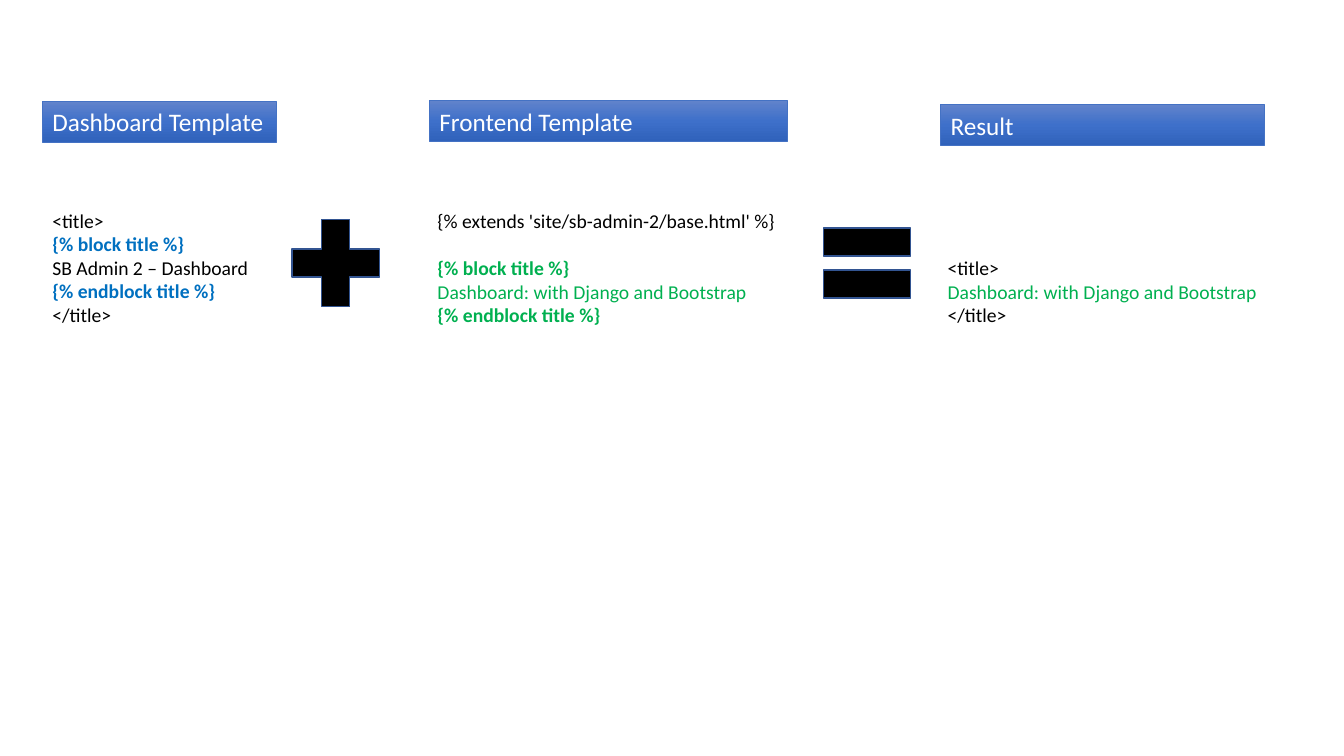
import copy

import pptx
import pptx.dml.color
import pptx.enum.shapes
import pptx.enum.text
import pptx.oxml.ns
import pptx.util

Inches = pptx.util.Inches
Pt = pptx.util.Pt
RGBColor = pptx.dml.color.RGBColor
Shape = pptx.enum.shapes.MSO_SHAPE

WHITE = RGBColor(0xFF, 0xFF, 0xFF)
BLACK = RGBColor(0x00, 0x00, 0x00)
BLUE = RGBColor(0x00, 0x70, 0xC0)
GREEN = RGBColor(0x00, 0xB0, 0x50)
HEADING_LINE = RGBColor(0x44, 0x72, 0xC4)
SIGN_LINE = RGBColor(0x32, 0x54, 0x91)
HEADING_STOPS = [
    (0, RGBColor(0x61, 0x83, 0xCB)),
    (0.5, RGBColor(0x3E, 0x70, 0xCA)),
    (1, RGBColor(0x30, 0x62, 0xBB)),
]


class SlideBuilder:
    font = "Calibri"
    heading_size = 18
    code_size = 14
    blank_line = 17

    def __init__(self, slide):
        self.slide = slide

    def shape(self, kind, left, top, width, height, line_color, line_width):
        shape = self.slide.shapes.add_shape(
            kind, Inches(left), Inches(top), Inches(width), Inches(height))
        shape.shadow.inherit = False
        shape.line.color.rgb = line_color
        shape.line.width = Pt(line_width)
        return shape

    def span(self, para, text, size, color, bold=False):
        span = para.add_run()
        span.text = text
        span.font.name = self.font
        span.font.size = Pt(size)
        span.font.color.rgb = color
        span.font.bold = bold

    def heading(self, text, left, top, width, wrap=True):
        box = self.shape(Shape.RECTANGLE, left, top, width, 0.4, HEADING_LINE, 0.5)
        box.fill.gradient()
        box.fill.gradient_angle = 270
        # The default gradient has two stops; a third is added
        stop_list = box.fill.gradient_stops[0]._gs.getparent()
        stop_list.append(copy.deepcopy(stop_list[0]))
        for stop, (position, color) in zip(box.fill.gradient_stops, HEADING_STOPS):
            stop.color.rgb = color
            stop.position = position
        frame = box.text_frame
        frame.word_wrap = wrap
        frame.auto_size = pptx.enum.text.MSO_AUTO_SIZE.SHAPE_TO_FIT_TEXT
        para = frame.paragraphs[0]
        para.alignment = pptx.enum.text.PP_ALIGN.LEFT
        self.span(para, text, self.heading_size, WHITE)

    def sign(self, kind, left, top):
        sign = self.shape(kind, left, top, 1.18, 1.18, SIGN_LINE, 1)
        sign.fill.solid()
        sign.fill.fore_color.rgb = BLACK

    def code(self, lines, left, top, width, height, gap_before=None):
        box = self.slide.shapes.add_textbox(
            Inches(left), Inches(top), Inches(width), Inches(height))
        frame = box.text_frame
        frame.word_wrap = True
        frame.auto_size = pptx.enum.text.MSO_AUTO_SIZE.SHAPE_TO_FIT_TEXT
        for index, (text, color, bold) in enumerate(lines):
            para = frame.add_paragraph() if index else frame.paragraphs[0]
            if index == gap_before:
                para.space_before = Pt(self.blank_line)
            self.span(para, text, self.code_size, color, bold)


def main():
    deck = pptx.Presentation()
    deck.slide_width = Inches(13.33)
    deck.slide_height = Inches(7.5)
    page = SlideBuilder(deck.slides.add_slide(deck.slide_layouts[6]))

    # Column headings
    page.heading("Dashboard Template", 0.42, 1.01, 2.32, wrap=False)
    page.heading("Frontend Template", 4.26, 1, 3.55)
    page.heading("Result", 9.33, 1.04, 3.21)

    # Plus and equals signs between the columns
    page.sign(Shape.MATH_PLUS, 2.74, 2.02)
    page.sign(Shape.MATH_EQUAL, 8.01, 2.02)

    # Template code
    open_title = ("<title>", BLACK, False)
    close_title = ("</title>", BLACK, False)
    new_title = ("Dashboard: with Django and Bootstrap", GREEN, False)
    page.code([
        open_title,
        ("{% block title %}", BLUE, True),
        ("SB Admin 2 – Dashboard", BLACK, False),
        ("{% endblock title %}", BLUE, True),
        close_title,
    ], 0.42, 2.02, 3.11, 1.28)
    page.code([
        ("{% extends 'site/sb-admin-2/base.html' %}", BLACK, False),
        ("{% block title %}", GREEN, True),
        new_title,
        ("{% endblock title %}", GREEN, True),
    ], 4.24, 2.02, 3.65, 1.28, gap_before=1)
    page.code([open_title, new_title, close_title], 9.3, 2.49, 3.46, 0.81)

    deck.save("out.pptx")


if __name__ == "__main__":
    main()
